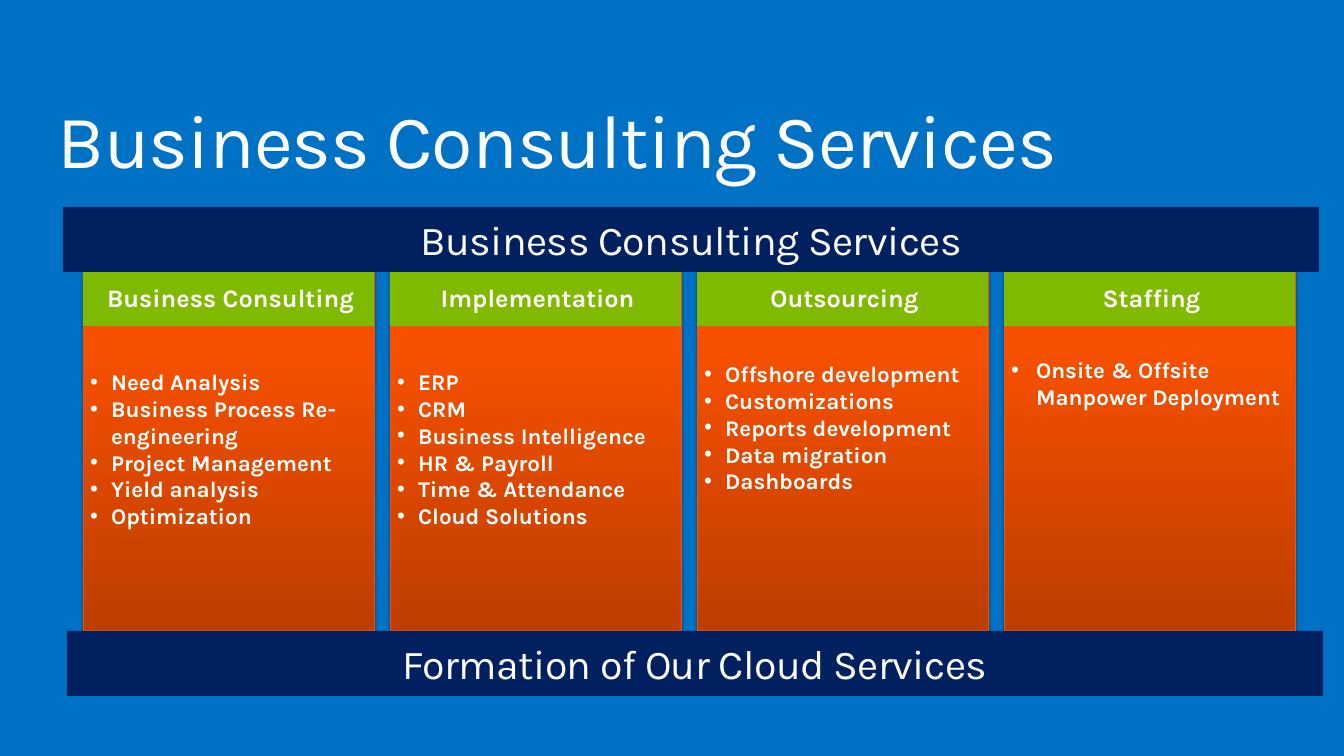
from copy import deepcopy
from dataclasses import dataclass

from lxml import etree
from pptx import Presentation
from pptx import util as u
from pptx.dml.color import RGBColor
from pptx.enum import shapes, text
from pptx.oxml.ns import qn

SCALE = u.Inches(20) / 1344


@dataclass(frozen=True)
class Theme:
    font: str = "Karla"
    background: str = "0072C6"
    ink: str = "FFFFFF"
    band: str = "002060"
    header: str = "7FBA00"
    edge: str = "F95100"
    gradient: tuple = ((0, "BE3E00"), (0.8, "F75000"), (1, "F85100"))
    title_size: int = 81
    band_size: int = 44
    header_size: int = 27
    body_size: int = 24


@dataclass(frozen=True)
class Box:
    x: int
    y: int
    w: int
    h: int


@dataclass(frozen=True)
class Column:
    heading: str
    items: tuple
    top_inset: int
    indent: int = 21


THEME = Theme()
COLUMNS = (
    Column("Business Consulting",
           ("Need Analysis", "Business Process Re-engineering", "Project Management",
            "Yield analysis", "Optimization"), 96),
    Column("Implementation",
           ("ERP", "CRM", "Business Intelligence", "HR & Payroll",
            "Time & Attendance", "Cloud Solutions"), 96),
    Column("Outsourcing",
           ("Offshore development", "Customizations", "Reports development",
            "Data migration", "Dashboards"), 88),
    Column("Staffing", ("Onsite & Offsite Manpower Deployment",), 84, 25),
)
BANDS = (
    (Box(63, 207, 1256, 65), "Business Consulting Services"),
    (Box(67, 631, 1256, 65), "Formation of Our Cloud Services"),
)
COLUMN_X, COLUMN_Y, COLUMN_W, COLUMN_H = 83, 272, 291, 358
COLUMN_PITCH, HEADER_H = 307, 54


def px(n: int) -> u.Emu:
    return u.Emu(round(n * SCALE))


def rgb(color: str) -> RGBColor:
    return RGBColor.from_string(color)


def write(sp, lines, *, size, bold=False, align=text.PP_ALIGN.LEFT,
          anchor=text.MSO_ANCHOR.MIDDLE, insets=(0, 0, 0, 0), spacing=0,
          line_spacing=None, after=None, indent=0) -> None:
    tf = sp.text_frame
    tf.word_wrap = True
    tf.auto_size = text.MSO_AUTO_SIZE.NONE
    tf.vertical_anchor = anchor
    tf.margin_left, tf.margin_top, tf.margin_right, tf.margin_bottom = map(px, insets)
    for i, line in enumerate(lines):
        p = tf.paragraphs[0] if i == 0 else tf.add_paragraph()
        p.alignment = align
        if line_spacing:
            p.line_spacing = line_spacing
        if after:
            p.space_after = u.Pt(after)
        if indent:
            pPr = p._p.get_or_add_pPr()
            pPr.set("marL", str(px(indent)))
            pPr.set("indent", str(-px(indent)))
            etree.SubElement(pPr, qn("a:buFont"), typeface="Arial")
            etree.SubElement(pPr, qn("a:buChar"), char="•")
        r = p.add_run()
        r.text = line
        r.font.name = THEME.font
        r.font.size = u.Pt(size)
        r.font.bold = bold
        r.font.color.rgb = rgb(THEME.ink)
        if spacing:
            r._r.get_or_add_rPr().set("spc", str(spacing))


def add_rect(slide, box: Box, color: str = ""):
    sp = slide.shapes.add_shape(shapes.MSO_SHAPE.RECTANGLE,
                                px(box.x), px(box.y), px(box.w), px(box.h))
    sp.shadow.inherit = False
    sp.line.fill.background()
    if color:
        sp.fill.solid()
        sp.fill.fore_color.rgb = rgb(color)
    return sp


def add_gradient(sp) -> None:
    sp.fill.gradient()
    sp.fill.gradient_angle = 90
    stops = sp._element.spPr.find(qn("a:gradFill")).find(qn("a:gsLst"))
    stops.append(deepcopy(stops[-1]))
    for stop, (position, color) in zip(sp.fill.gradient_stops, THEME.gradient):
        stop.position = position
        stop.color.rgb = rgb(color)


def add_shadow(sp) -> None:
    effects = sp._element.spPr.find(qn("a:effectLst"))
    shadow = etree.SubElement(effects, qn("a:outerShdw"), blurRad=str(u.Pt(3.1)),
                              dist=str(u.Pt(1.8)), dir="5400000", rotWithShape="0")
    color = etree.SubElement(shadow, qn("a:srgbClr"), val="000000")
    etree.SubElement(color, qn("a:alpha"), val="35000")


def add_band(slide, box: Box, label: str) -> None:
    sp = add_rect(slide, box, THEME.band)
    write(sp, [label], size=THEME.band_size, align=text.PP_ALIGN.CENTER,
          spacing=-60, after=16)


def add_column(slide, x: int, column: Column) -> None:
    body = add_rect(slide, Box(x, COLUMN_Y, COLUMN_W, COLUMN_H))
    add_gradient(body)
    add_shadow(body)
    body.line.color.rgb = rgb(THEME.edge)
    body.line.width = u.Pt(0.75)
    write(body, column.items, size=THEME.body_size, bold=True,
          anchor=text.MSO_ANCHOR.TOP, insets=(7, column.top_inset, 3, 7),
          indent=column.indent)
    header = add_rect(slide, Box(x, COLUMN_Y, COLUMN_W, HEADER_H), THEME.header)
    write(header, [column.heading], size=THEME.header_size, bold=True,
          align=text.PP_ALIGN.CENTER, insets=(7, 3, 3, 7))


def main() -> None:
    prs = Presentation()
    prs.slide_width, prs.slide_height = px(1344), px(756)
    slide = prs.slides.add_slide(prs.slide_layouts[5])
    slide.background.fill.solid()
    slide.background.fill.fore_color.rgb = rgb(THEME.background)

    title = slide.shapes.title
    title.left, title.top, title.width, title.height = map(px, (58, 103, 1229, 83))
    write(title, ["Business Consulting Services"], size=THEME.title_size,
          anchor=text.MSO_ANCHOR.TOP, spacing=-100, line_spacing=0.9)

    for i, column in enumerate(COLUMNS):
        add_column(slide, COLUMN_X + i * COLUMN_PITCH, column)
    for box, label in BANDS:
        add_band(slide, box, label)
    prs.save("out.pptx")


if __name__ == "__main__":
    main()
